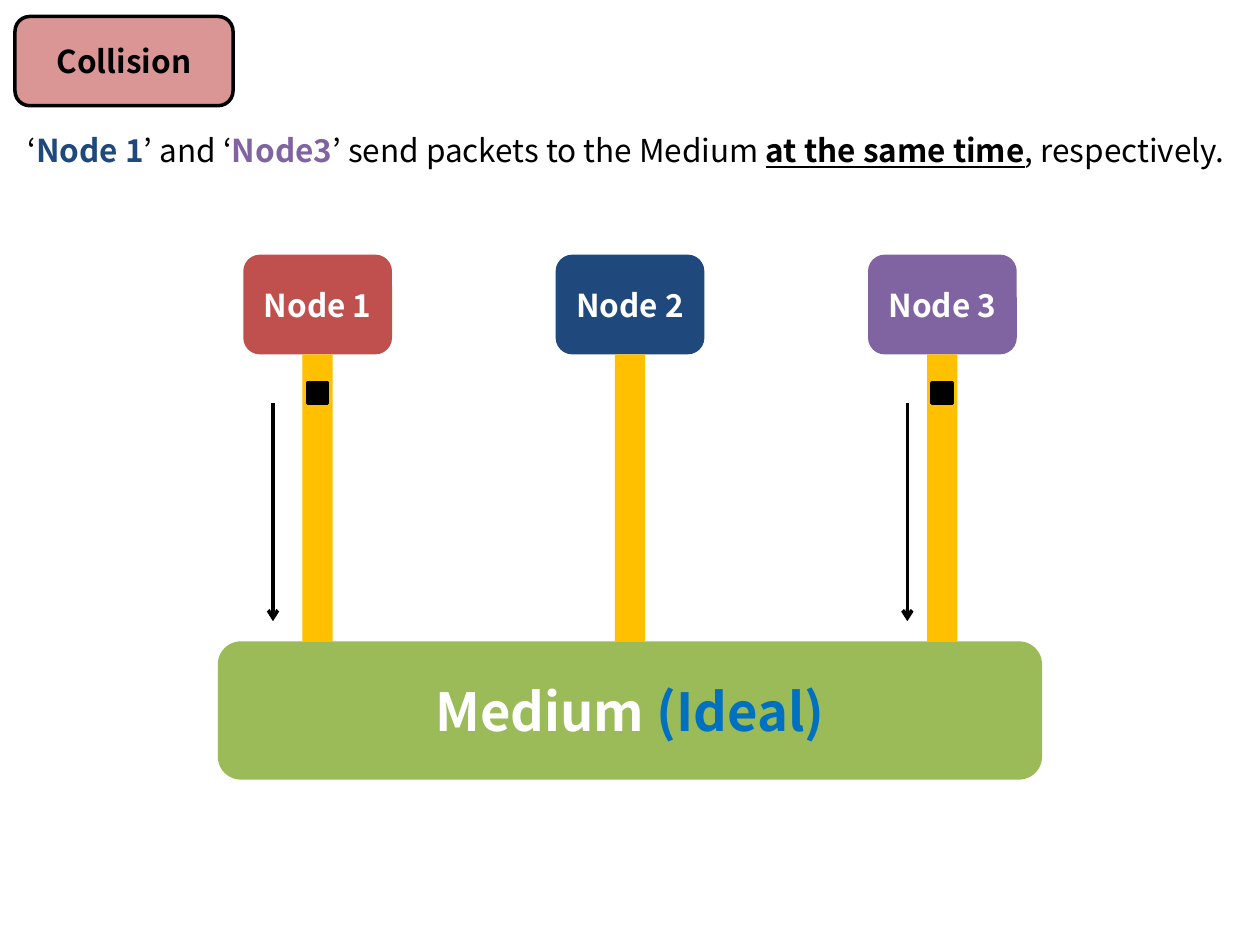
from dataclasses import dataclass

from lxml import etree
from pptx import Presentation
from pptx import util as u
from pptx.dml.color import RGBColor
from pptx.enum import shapes, text
from pptx.oxml import ns

Pt = u.Pt
FONT = "Noto Sans CJK KR"
COLORS = {
    "black": "000000", "white": "FFFFFF", "red": "C0504D", "navy": "1F497D",
    "purple": "8064A2", "amber": "FFC000", "green": "9BBB59",
    "blue": "0070C0", "pink": "D99694",
}
RECT = shapes.MSO_SHAPE.RECTANGLE
ROUND = shapes.MSO_SHAPE.ROUNDED_RECTANGLE

FIRST_CENTER, NODE_PITCH = 181.5, 178.5
NODE_TOP, NODE_W, NODE_H = 145.5, 85, 57
CABLE_W = 17.3
MEDIUM_TOP = 366.5
PACKET_TOP, PACKET_SIZE = 219, 11.5
ARROW_TOP, ARROW_BOTTOM = 230.4, 355


@dataclass
class Run:
    """A piece of text with one format."""
    text: str
    color: str = "black"
    bold: bool = False
    underline: bool = False


@dataclass
class Node:
    """A network node; arrow_x is set when it sends a packet."""
    label: str
    color: str
    arrow_x: float | None = None


def rgb(name: str) -> RGBColor:
    """Look up a named colour."""
    return RGBColor.from_string(COLORS[name])


def write(tf, runs: list[Run], size: float = 18, centred: bool = True) -> None:
    """Write runs into the first paragraph of a text frame."""
    p = tf.paragraphs[0]
    p.alignment = text.PP_ALIGN.CENTER if centred else text.PP_ALIGN.LEFT
    for run in runs:
        r = p.add_run()
        r.text = run.text
        r.font.name, r.font.size = FONT, Pt(size)
        r.font.bold, r.font.underline = run.bold, run.underline
        r.font.color.rgb = rgb(run.color)


def add_box(s, kind, left: float, top: float, width: float, height: float,
            fill: str, outlined: bool = False):
    """Add a filled shape, with a black outline if asked for."""
    sp = s.shapes.add_shape(kind, Pt(left), Pt(top), Pt(width), Pt(height))
    sp.shadow.inherit = False
    sp.fill.solid()
    sp.fill.fore_color.rgb = rgb(fill)
    if outlined:
        sp.line.color.rgb = rgb("black")
        sp.line.width = Pt(2)
    else:
        sp.line.fill.background()
    sp.text_frame.vertical_anchor = text.MSO_ANCHOR.MIDDLE
    return sp


def add_arrow(s, x: float) -> None:
    """Add a downward arrow from a packet towards the medium."""
    c = s.shapes.add_connector(shapes.MSO_CONNECTOR.STRAIGHT, Pt(x),
                               Pt(ARROW_TOP), Pt(x), Pt(ARROW_BOTTOM))
    c.line.color.rgb = rgb("black")
    c.line.width = Pt(2)
    etree.SubElement(c.line._get_or_add_ln(), ns.qn("a:tailEnd"), type="arrow")
    etree.SubElement(c.element.spPr, ns.qn("a:effectLst"))


def add_node(s, node: Node, center: float) -> None:
    """Add a node, its cable, and any packet it sends."""
    sp = add_box(s, ROUND, center - NODE_W / 2, NODE_TOP, NODE_W, NODE_H,
                 node.color)
    write(sp.text_frame, [Run(node.label, "white", True)])
    cable_top = NODE_TOP + NODE_H
    add_box(s, RECT, center - CABLE_W / 2, cable_top, CABLE_W,
            MEDIUM_TOP - cable_top, "amber")
    if node.arrow_x is not None:
        add_box(s, RECT, center - PACKET_SIZE / 2, PACKET_TOP, PACKET_SIZE,
                PACKET_SIZE, "black", outlined=True)
        add_arrow(s, node.arrow_x)


def add_title(s, label: str) -> None:
    """Place the title on a rounded badge."""
    left, top, width, height = 8.6, 9.4, 124.6, 51
    badge = add_box(s, ROUND, left, top, width, height, "pink", outlined=True)
    title = s.shapes.title
    title.left, title.top = Pt(left), Pt(top)
    title.width, title.height = Pt(width), Pt(height)
    tf = title.text_frame
    tf.auto_size = text.MSO_AUTO_SIZE.NONE
    tf.vertical_anchor = text.MSO_ANCHOR.MIDDLE
    write(tf, [Run(label, bold=True)])
    badge.element.addnext(title.element)


def add_statement(s, runs: list[Run]) -> None:
    """Add the one-line statement under the title."""
    tf = s.shapes.add_textbox(Pt(8.6), Pt(71.3), Pt(709), Pt(29)).text_frame
    tf.word_wrap = False
    tf.auto_size = text.MSO_AUTO_SIZE.SHAPE_TO_FIT_TEXT
    write(tf, runs, centred=False)


def main() -> None:
    """Build and save the slide."""
    prs = Presentation()
    prs.slide_width, prs.slide_height = Pt(720), Pt(540)
    s = prs.slides.add_slide(prs.slide_layouts[5])

    add_title(s, "Collision")
    add_statement(s, [
        Run("‘"), Run("Node 1", "navy", True),
        Run("’ and ‘"), Run("Node3", "purple", True),
        Run("’ send packets to the Medium "),
        Run("at the same time", bold=True, underline=True),
        Run(", respectively."),
    ])
    nodes = [
        Node("Node 1", "red", arrow_x=156),
        Node("Node 2", "navy"),
        Node("Node 3", "purple", arrow_x=518.5),
    ]
    for i, node in enumerate(nodes):
        add_node(s, node, FIRST_CENTER + i * NODE_PITCH)

    medium = add_box(s, ROUND, 124.5, MEDIUM_TOP, 471, 79, "green")
    write(medium.text_frame, [Run("Medium ", "white", True),
                              Run("(Ideal)", "blue", True)], size=30)
    prs.save("out.pptx")


main()
